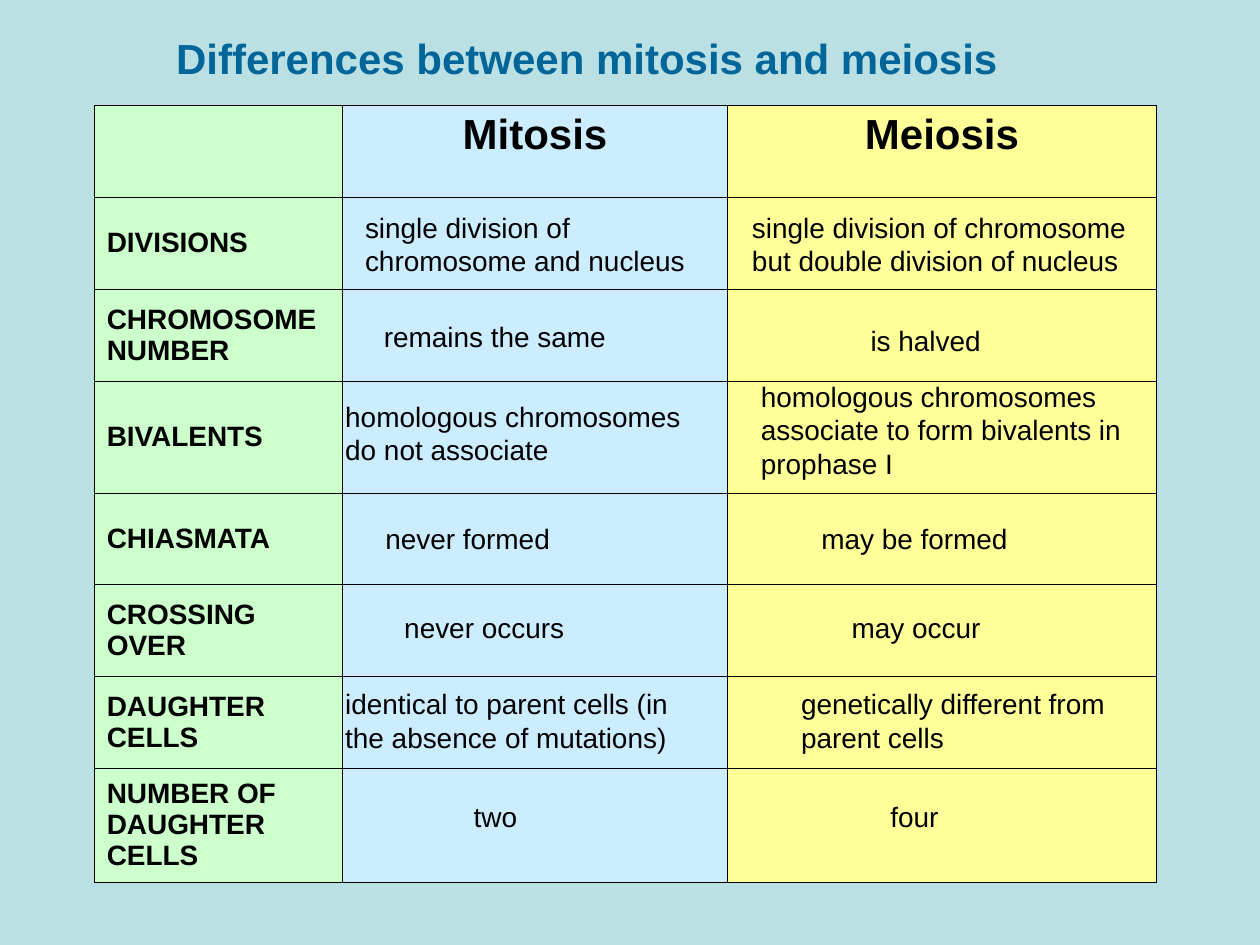
import dataclasses
import typing

import lxml.etree
import pptx
import pptx.dml.color
import pptx.enum.text
import pptx.oxml.ns
import pptx.util

Cm = pptx.util.Cm
Pt = pptx.util.Pt
Rgb = pptx.dml.color.RGBColor
Align = pptx.enum.text.PP_ALIGN
Anchor = pptx.enum.text.MSO_ANCHOR
Fit = pptx.enum.text.MSO_AUTO_SIZE


@dataclasses.dataclass(frozen=True)
class Theme:
    face: str = "Arial"
    back: str = "BBE0E3"
    title: str = "006699"
    ink: str = "000000"
    fills: tuple = ("CCFFCC", "CCECFF", "FFFF99")
    large: float = 24
    small: float = 16
    rule: float = 0.45


@dataclasses.dataclass(frozen=True)
class Note:
    """A text box, placed in centimetres; lines sets its height."""
    text: str
    left: float
    top: float
    width: float
    lines: int = 1
    wrap: bool = True


THEME = Theme()
COLS = (5.0, 7.77, 8.64)
ROWS = (1.85, 1.85, 1.85, 2.26, 1.85, 1.85, 1.85, 2.29)
HEADS = ("", "Mitosis", "Meiosis")
LABELS = ("DIVISIONS", "CHROMOSOME\nNUMBER", "BIVALENTS", "CHIASMATA",
          "CROSSING OVER", "DAUGHTER CELLS", "NUMBER OF DAUGHTER CELLS")
NOTES = (
    Note("remains the same", 7.49, 6.32, 6),
    Note("single division of chromosome and nucleus", 7.11, 4.11, 7.6, 2),
    Note("single division of chromosome but double division of nucleus",
         14.91, 4.11, 8.41, 2),
    Note("is halved", 17.3, 6.4, 2.87, wrap=False),
    Note("homologous chromosomes do not associate", 6.71, 7.92, 7.8, 2),
    Note("homologous chromosomes associate to form bivalents in prophase I",
         15.09, 7.52, 8.41, 3),
    Note("never formed", 7.52, 10.39, 4, wrap=False),
    Note("may be formed", 16.31, 10.39, 4.42, wrap=False),
    Note("never occurs", 7.9, 12.19, 3.89, wrap=False),
    Note("may occur", 16.92, 12.19, 3.25, wrap=False),
    Note("identical to parent cells (in the absence of mutations)",
         6.71, 13.72, 7.85, 2),
    Note("genetically different from parent cells", 15.9, 13.72, 7.39, 2),
    Note("two", 9.3, 16, 1.6, wrap=False),
    Note("four", 17.7, 16, 1.7, wrap=False),
)


def apply(target: typing.Any, values: dict) -> None:
    for name, value in values.items():
        setattr(target, name, value)


def write(frame: typing.Any, text: str, size: float, tint: str, bold: bool,
          **format: typing.Any) -> None:
    """Fill a text frame; format holds paragraph values."""
    frame.text = text
    for para in frame.paragraphs:
        apply(para, format)
        for run in para.runs:
            apply(run.font, {"name": THEME.face, "size": Pt(size), "bold": bold})
            run.font.color.rgb = Rgb.from_string(tint)


def paint(cell: typing.Any, tint: str) -> None:
    """Give a cell its borders and fill."""
    props = cell._tc.get_or_add_tcPr()
    name = pptx.oxml.ns.qn
    for side in ("a:lnL", "a:lnR", "a:lnT", "a:lnB"):
        line = lxml.etree.SubElement(props, name(side), w=str(Pt(THEME.rule)))
        fill = lxml.etree.SubElement(line, name("a:solidFill"))
        lxml.etree.SubElement(fill, name("a:srgbClr"), val=THEME.ink)
    cell.fill.solid()
    cell.fill.fore_color.rgb = Rgb.from_string(tint)


def draw_grid(slide: typing.Any) -> None:
    grid = slide.shapes.add_table(
        len(ROWS), len(COLS), Cm(1.9), Cm(2.13), Cm(sum(COLS)), Cm(sum(ROWS))).table
    apply(grid, {"first_row": False, "horz_banding": False})
    for col, width in zip(grid.columns, COLS):
        col.width = Cm(width)
    for row, height in zip(grid.rows, ROWS):
        row.height = Cm(height)
        for cell, tint in zip(row.cells, THEME.fills):
            paint(cell, tint)
    for cell, text in zip(grid.rows[0].cells, HEADS):
        if text:
            write(cell.text_frame, text, THEME.large, THEME.ink, True,
                  alignment=Align.CENTER)
    for index, text in enumerate(LABELS, 1):
        cell = grid.cell(index, 0)
        cell.vertical_anchor = Anchor.MIDDLE
        write(cell.text_frame, text, THEME.small, THEME.ink, True)


def draw_note(slide: typing.Any, note: Note, height: float, size: float,
              tint: str, bold: bool) -> None:
    frame = slide.shapes.add_textbox(
        Cm(note.left), Cm(note.top), Cm(note.width), Cm(height)).text_frame
    apply(frame, {"word_wrap": note.wrap, "auto_size": Fit.SHAPE_TO_FIT_TEXT})
    write(frame, note.text, size, tint, bold)


def main() -> None:
    deck = pptx.Presentation()
    apply(deck, {"slide_width": Cm(25.4), "slide_height": Cm(19.05)})
    slide = deck.slides.add_slide(deck.slide_layouts[6])
    slide.background.fill.solid()
    slide.background.fill.fore_color.rgb = Rgb.from_string(THEME.back)
    draw_grid(slide)
    title = Note("Differences between mitosis and meiosis", 3.3, 0.53, 17.07)
    draw_note(slide, title, 1.27, THEME.large, THEME.title, True)
    for note in NOTES:
        draw_note(slide, note, 0.27 + 0.67 * note.lines, THEME.small,
                  THEME.ink, False)
    deck.save("out.pptx")


if __name__ == "__main__":
    main()
